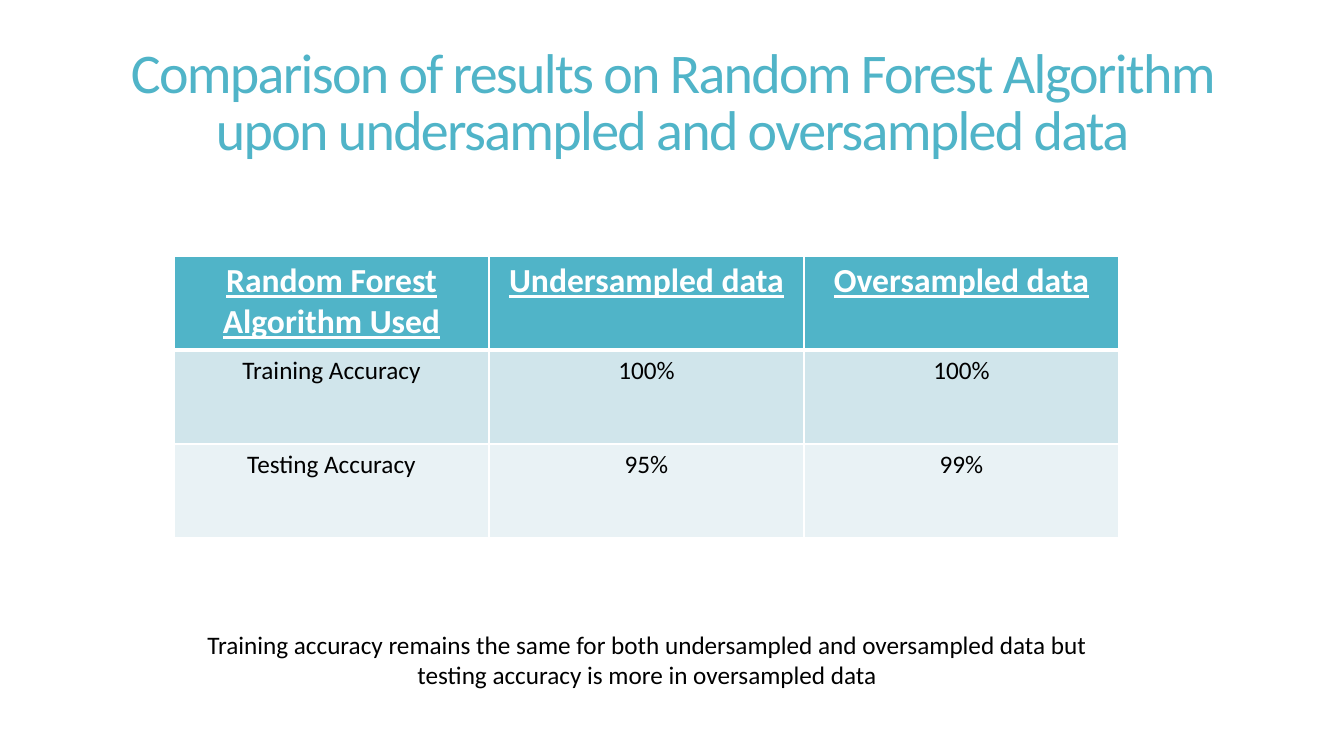
"""Build a slide comparing random forest accuracy on undersampled and oversampled data."""
from pptx import Presentation
from pptx.dml.color import RGBColor
from pptx.enum.text import MSO_ANCHOR, MSO_AUTO_SIZE, PP_ALIGN
from pptx.oxml import parse_xml
from pptx.oxml.ns import nsdecls
from pptx.util import Pt

PX = 12192000 / 1344
THEME = {
    "font": "Calibri",
    "accent": "50B4C8", "white": "FFFFFF", "black": "000000",
    "bands": ["50B4C8", "D0E5EB", "E9F2F5"],
    "title": 40, "header": 24, "body": 18,
}


def px(*lengths):
    return [round(n * PX) for n in lengths]


def write(tf, text, size, color, **formats):
    tf.word_wrap = True
    p = tf.paragraphs[0]
    p.alignment = PP_ALIGN.CENTER
    r = p.add_run()
    r.text = text
    formats.update(name=THEME["font"], size=Pt(size))
    for name, value in formats.items():
        setattr(r.font, name, value)
    r.font.color.rgb = RGBColor.from_string(THEME[color])
    return p, r


prs = Presentation()
prs.slide_width, prs.slide_height = px(1344, 756)
s = prs.slides.add_slide(prs.slide_layouts[5])

title = s.shapes.title
title.left, title.top, title.width, title.height = px(79, 14, 1187, 182)
tf = title.text_frame
tf.auto_size = MSO_AUTO_SIZE.NONE
tf.vertical_anchor = MSO_ANCHOR.MIDDLE
p, r = write(tf, "Comparison of results on Random Forest Algorithm upon "
             "undersampled and oversampled data", THEME["title"], "accent")
p.line_spacing = 0.85
r.font._element.set("spc", "-120")

rows = [
    ["Random Forest Algorithm Used", "Undersampled data", "Oversampled data"],
    ["Training Accuracy", "100%", "100%"],
    ["Testing Accuracy", "95%", "99%"],
]
table = s.shapes.add_table(3, 3, *px(174, 256, 945, 282)).table
for i, row in enumerate(rows):
    header = i == 0
    size, color = (THEME["header"], "white") if header else (THEME["body"], "black")
    for j, text in enumerate(row):
        cell = table.cell(i, j)
        write(cell.text_frame, text, size, color, bold=header, underline=header)
        cell.fill.solid()
        cell.fill.fore_color.rgb = RGBColor.from_string(THEME["bands"][i])
        widths = {"L": 1, "R": 1, "T": 3 if i == 1 else 1, "B": 3 if header else 1}
        for k, (side, width) in enumerate(widths.items()):
            line = parse_xml(
                f'<a:ln{side} {nsdecls("a")} w="{Pt(width)}"><a:solidFill>'
                f'<a:srgbClr val="{THEME["white"]}"/></a:solidFill></a:ln{side}>')
            cell._tc.get_or_add_tcPr().insert(k, line)

sp = s.shapes.add_textbox(*px(174, 624, 946, 72))
tf = sp.text_frame
write(tf, "Training accuracy remains the same for both undersampled and oversampled "
      "data but testing accuracy is more in oversampled data", THEME["body"], "black")
tf.auto_size = MSO_AUTO_SIZE.SHAPE_TO_FIT_TEXT

prs.save("out.pptx")
